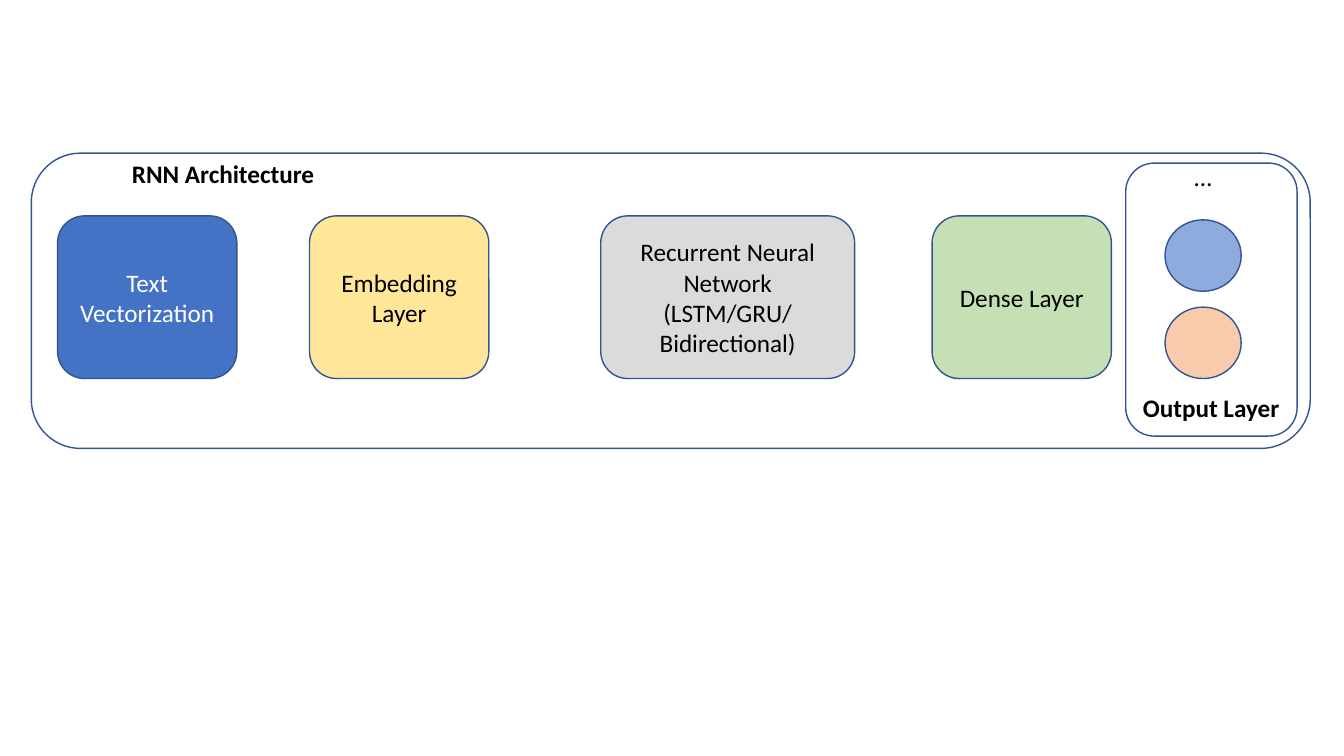
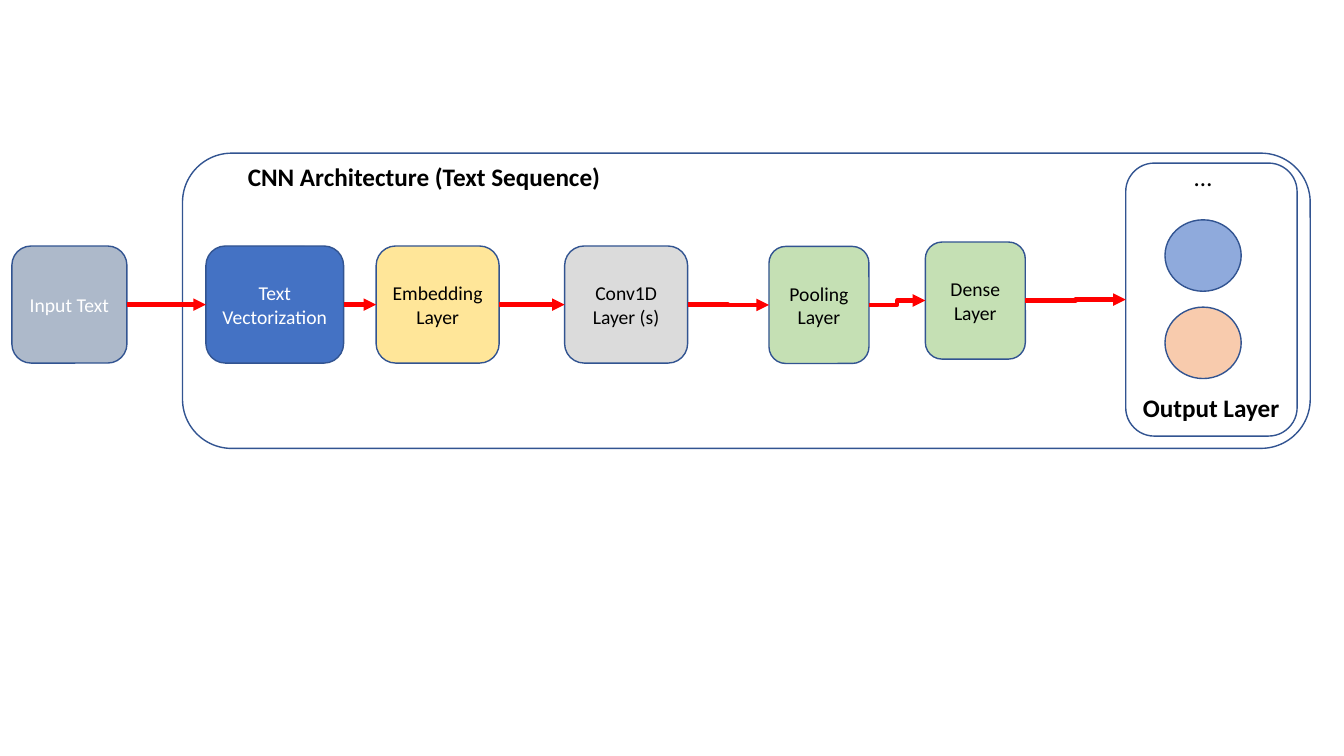
from dataclasses import dataclass

import pptx
import pptx.dml.color
import pptx.enum.shapes
import pptx.enum.text
import pptx.oxml
import pptx.oxml.ns
import pptx.util

Cm = pptx.util.Cm
Pt = pptx.util.Pt
SHAPE = pptx.enum.shapes.MSO_SHAPE
ALIGN = pptx.enum.text.PP_ALIGN
ANCHOR = pptx.enum.text.MSO_ANCHOR
AUTO = pptx.enum.text.MSO_AUTO_SIZE
LEFT_SITE, RIGHT_SITE = 1, 3


@dataclass(frozen=True)
class Theme:
    """Colours, type sizes and line widths shared by the slides."""
    font: str = "Calibri"
    large: int = 18
    small: int = 14
    outline: str = "325491"
    outline_pt: int = 1
    arrow: str = "FF0000"
    arrow_pt: int = 3
    white: str = "FFFFFF"
    black: str = "000000"
    blue: str = "4472C4"
    yellow: str = "FFE699"
    grey: str = "DBDBDB"
    green: str = "C5E0B4"
    slate: str = "ADB9CA"
    light_blue: str = "8FAADC"
    peach: str = "F8CBAD"


T = Theme()


def rgb(value):
    """Return a colour object for a hex string."""
    return pptx.dml.color.RGBColor.from_string(value)


def write(tf, lines, size, color, align, bold=False):
    """Write each line as one paragraph with one run."""
    for i, line in enumerate(lines):
        p = tf.paragraphs[0] if i == 0 else tf.add_paragraph()
        p.alignment = align
        r = p.add_run()
        r.text = line
        r.font.name = T.font
        r.font.size = Pt(size)
        r.font.bold = bold
        r.font.color.rgb = rgb(color)


def outlined(s, kind, box, fill=None):
    """Add a preset shape with the shared outline; box is in cm."""
    sp = s.shapes.add_shape(kind, *map(Cm, box))
    sp.shadow.inherit = False
    sp.line.color.rgb = rgb(T.outline)
    sp.line.width = Pt(T.outline_pt)
    if fill:
        sp.fill.solid()
        sp.fill.fore_color.rgb = rgb(fill)
    else:
        sp.fill.background()
    return sp


def block(s, box, lines, fill, size, color=T.black):
    """Add one network layer as a labelled rounded block."""
    sp = outlined(s, SHAPE.ROUNDED_RECTANGLE, box, fill)
    sp.text_frame.word_wrap = True
    sp.text_frame.vertical_anchor = ANCHOR.MIDDLE
    write(sp.text_frame, lines, size, color, ALIGN.CENTER)
    return sp


def label(s, box, text, bold=False):
    """Add a single-line text box."""
    tf = s.shapes.add_textbox(*map(Cm, box)).text_frame
    tf.word_wrap = False
    write(tf, [text], T.large, T.black, ALIGN.LEFT, bold)


def title(s, box, text):
    """Move and format the title placeholder as the panel heading."""
    sp = s.shapes.title
    sp.left, sp.top, sp.width, sp.height = map(Cm, box)
    tf = sp.text_frame
    tf.word_wrap = False
    tf.auto_size = AUTO.NONE
    tf.vertical_anchor = ANCHOR.TOP
    write(tf, [text], T.large, T.black, ALIGN.LEFT, True)


def output_layer(s, box):
    """Draw the output nodes and their frame; return the frame."""
    x, y, w, h = box
    for i, fill in enumerate((T.light_blue, T.peach)):
        outlined(s, SHAPE.OVAL, (x + 0.99, y + 1.43 + 2.2 * i, 1.92, 1.8), fill)
    frame = outlined(s, SHAPE.ROUNDED_RECTANGLE, box)
    label(s, (x + 1.48, y - 0.17, 0.97, 1.02), "…")
    label(s, (x + 0.18, y + 5.64, 3.99, 1.02), "Output Layer", True)
    return frame


def panel(s, box, heading, heading_box):
    """Draw the architecture panel; heading_box is dx, dy, width."""
    x, y, w, h = box
    dx, dy, heading_w = heading_box
    outlined(s, SHAPE.ROUNDED_RECTANGLE, box)
    title(s, (x + dx, y + dy, heading_w, 1.02), heading)
    return output_layer(s, (x + w - 4.65, y + 0.25, 4.32, 6.88))


def arrow(s, start, end):
    """Join two shapes by a bent arrow from right side to left side."""
    c = s.shapes.add_connector(pptx.enum.shapes.MSO_CONNECTOR.ELBOW, 0, 0, 0, 0)
    c.begin_connect(start, RIGHT_SITE)
    c.end_connect(end, LEFT_SITE)
    c.line.color.rgb = rgb(T.arrow)
    c.line.width = Pt(T.arrow_pt)
    ns = pptx.oxml.ns.nsdecls("a")
    c.line._get_or_add_ln().append(
        pptx.oxml.parse_xml(f'<a:tailEnd {ns} type="triangle"/>'))
    c._element.spPr.append(pptx.oxml.parse_xml(f"<a:effectLst {ns}/>"))


def rnn_slide(s, box):
    """Build the RNN slide around its panel box."""
    x, y = box[:2]
    layers = [
        (0.66, 4.52, ["Text Vectorization"], T.blue, T.white),
        (7.01, 4.52, ["Embedding Layer"], T.yellow, T.black),
        (14.35, 6.4, ["Recurrent Neural Network", "(LSTM/GRU/Bidirectional)"],
         T.grey, T.black),
        (22.7, 4.52, ["Dense Layer"], T.green, T.black),
    ]
    for dx, w, lines, fill, color in layers:
        block(s, (x + dx, y + 1.58, w, 4.1), lines, fill, T.large, color)
    panel(s, box, "RNN Architecture", (2.28, 0, 5.16))


def cnn_slide(s, box):
    """Build the CNN slide around its panel box, with arrows in sequence."""
    x, y = box[:2]
    layers = [
        (-4.3, 2.34, 2.9, ["Input Text"], T.slate, T.white),
        (0.59, 2.34, 3.47, ["Text Vectorization"], T.blue, T.white),
        (4.88, 2.34, 3.1, ["Embedding Layer"], T.yellow, T.black),
        (9.63, 2.34, 3.1, ["Conv1D Layer (s)"], T.grey, T.black),
        (14.78, 2.35, 2.52, ["Pooling", "Layer"], T.green, T.black),
        (18.72, 2.24, 2.52, ["Dense Layer"], T.green, T.black),
    ]
    chain = [block(s, (x + dx, y + dy, w, 2.95), lines, fill, T.small, color)
             for dx, dy, w, lines, fill, color in layers]
    chain.append(panel(s, box, "CNN Architecture (Text Sequence)",
                       (1.39, 0.08, 9.47)))
    for start, end in zip(chain, chain[1:]):
        arrow(s, start, end)


def main():
    """Create the presentation and save it."""
    prs = pptx.Presentation()
    prs.slide_width, prs.slide_height = Cm(33.87), Cm(19.05)
    title_only = prs.slide_layouts[5]
    right, top, height = 33.02, 3.86, 7.44
    for build, left in ((rnn_slide, 0.79), (cnn_slide, 4.6)):
        build(prs.slides.add_slide(title_only), (left, top, right - left, height))
    prs.save("out.pptx")


main()
